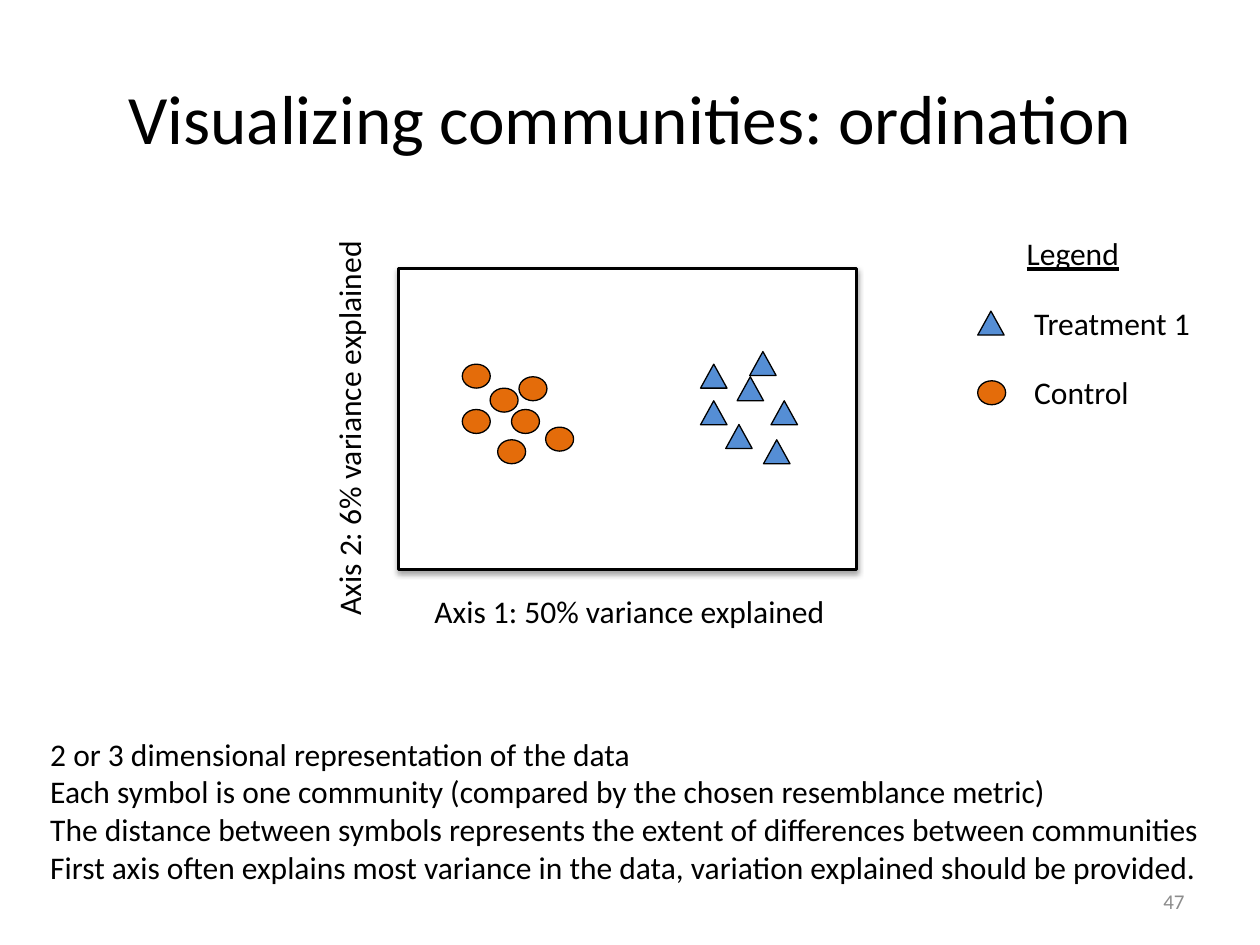
from lxml import etree
from pptx import Presentation
from pptx.dml.color import RGBColor
from pptx.enum.shapes import MSO_SHAPE
from pptx.enum.text import MSO_ANCHOR, MSO_AUTO_SIZE, PP_ALIGN
from pptx.oxml import parse_xml
from pptx.util import Pt

RECTANGLE, OVAL, TRIANGLE = MSO_SHAPE.RECTANGLE, MSO_SHAPE.OVAL, MSO_SHAPE.ISOSCELES_TRIANGLE
MIDDLE = MSO_ANCHOR.MIDDLE
CENTER, RIGHT = PP_ALIGN.CENTER, PP_ALIGN.RIGHT
GROW = MSO_AUTO_SIZE.SHAPE_TO_FIT_TEXT

FONT = "Calibri"
COLORS = {
    "text": "000000",
    "line": "000000",
    "frame": "FFFFFF",
    "control": "E46C0A",
    "treatment": "558ED5",
    "number": "8C8C8C",
}
MARKERS = {"control": (OVAL, 16, 13.7), "treatment": (TRIANGLE, 15.1, 13.7)}
CONTROL_POINTS = [
    (280.1, 221.8), (292.3, 234), (296.6, 215.3), (284.4, 251.3),
    (311.8, 244.1), (264.2, 208.1), (264.2, 234),
]
TREATMENT_POINTS = [
    (428.4, 200.9), (400.3, 208.1), (421.2, 215.3), (400.3, 229),
    (440.6, 229), (414.7, 242.6), (436.3, 251.3),
]


def add_filled_shape(shapes, kind, left, top, width, height, color, line_width=0.75):
    shape = shapes.add_shape(kind, Pt(left), Pt(top), Pt(width), Pt(height))
    shape.shadow.inherit = False
    shape.fill.solid()
    shape.fill.fore_color.rgb = RGBColor.from_string(COLORS[color])
    shape.line.color.rgb = RGBColor.from_string(COLORS["line"])
    shape.line.width = Pt(line_width)
    return shape


def add_label(shapes, lines, left, top, width, height=29.1, size=18, color="text"):
    """Add an unwrapped text box with one paragraph per line."""
    label = shapes.add_textbox(Pt(left), Pt(top), Pt(width), Pt(height))
    frame = label.text_frame
    frame.word_wrap = False
    frame.auto_size = GROW
    frame.text = "\n".join(lines)
    for paragraph in frame.paragraphs:
        paragraph.font.name = FONT
        paragraph.font.size = Pt(size)
        paragraph.font.color.rgb = RGBColor.from_string(COLORS[color])
    return label


presentation = Presentation()
presentation.slide_width, presentation.slide_height = Pt(720), Pt(540)
slide = presentation.slides.add_slide(presentation.slide_layouts[5])

# Title
title = slide.shapes.title
title.left, title.top, title.width, title.height = Pt(36), Pt(21.6), Pt(648), Pt(90)
title.text_frame.text = "Visualizing communities: ordination"
title.text_frame.vertical_anchor = MIDDLE
paragraph = title.text_frame.paragraphs[0]
paragraph.alignment = CENTER
paragraph.font.name = FONT
paragraph.font.size = Pt(39.6)
paragraph.font.color.rgb = RGBColor.from_string(COLORS["text"])

# Ordination plot
plot = slide.shapes.add_group_shape().shapes
plot_frame = add_filled_shape(plot, RECTANGLE, 227.5, 153.4, 262.1, 172.1, "frame", 1.75)
effects = plot_frame.element.spPr.find("{*}effectLst")
shadow = parse_xml(
    '<a:outerShdw xmlns:a="http://schemas.openxmlformats.org/drawingml/2006/main" '
    f'blurRad="{Pt(3.1)}" dist="{Pt(1.8)}" dir="5400000" rotWithShape="0"/>'
)
shadow_color = etree.SubElement(shadow, shadow.tag.replace("outerShdw", "srgbClr"), val=COLORS["line"])
etree.SubElement(shadow_color, shadow.tag.replace("outerShdw", "alpha"), val="35000")
effects.append(shadow)

for series, points in (("control", CONTROL_POINTS), ("treatment", TREATMENT_POINTS)):
    kind, width, height = MARKERS[series]
    for left, top in points:
        add_filled_shape(plot, kind, left, top, width, height, series)

# Axis labels
add_label(slide.shapes, ["Axis 1: 50% variance explained"], 241.2, 334.8, 239.8)
vertical_label = add_label(slide.shapes, ["Axis 2: 6% variance explained"], 84.2, 229, 230.4)
vertical_label.rotation = 270

# Legend
legend = slide.shapes.add_group_shape().shapes
for row, (series, name, width) in enumerate(
    [("treatment", "Treatment 1", 104.4), ("control", "Control", 69.1)]
):
    kind, marker_width, marker_height = MARKERS[series]
    top = 169.9 + row * 39.8
    add_filled_shape(legend, kind, 558.7, top + 7.9, marker_width, marker_height, series)
    add_label(legend, [name], 583.9, top, width)
heading = add_label(legend, ["Legend"], 579.6, 130.3, 67.7)
heading.text_frame.paragraphs[0].font.underline = True

# Explanation
add_label(
    slide.shapes,
    [
        "2 or 3 dimensional representation of the data",
        "Each symbol is one community (compared by the chosen resemblance metric)",
        "The distance between symbols represents the extent of differences between communities",
        "First axis often explains most variance in the data, variation explained should be provided.",
    ],
    21.6, 416.2, 677.5, 94,
)

# Slide number
number = add_label(slide.shapes, ["47"], 516.2, 500.4, 167.8, 28.8, 12, "number")
number.text_frame.auto_size = MSO_AUTO_SIZE.NONE
number.text_frame.word_wrap = True
number.text_frame.vertical_anchor = MIDDLE
number.text_frame.paragraphs[0].alignment = RIGHT

presentation.save("out.pptx")
